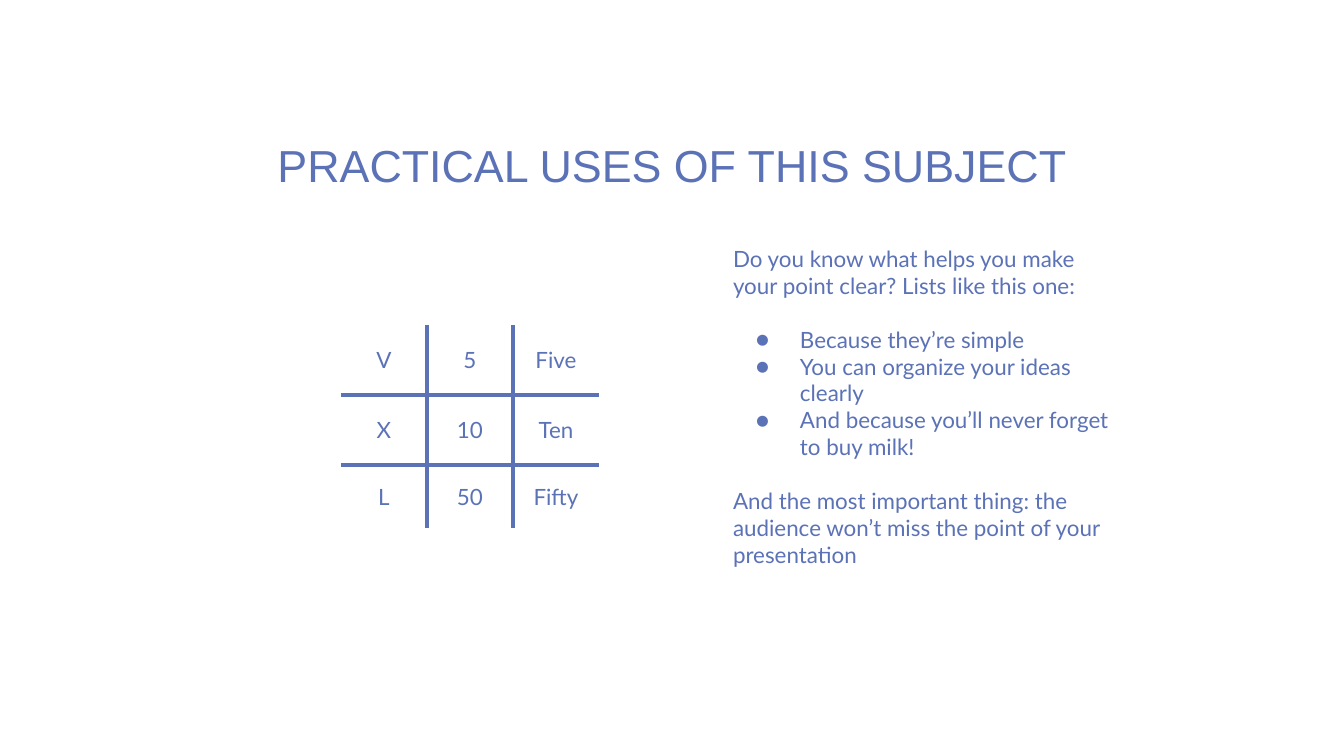
"""Build a slide with a numeral table beside a short bulleted text."""
from lxml.etree import SubElement
from pptx import Presentation
from pptx.dml.color import RGBColor
from pptx.enum.text import MSO_ANCHOR, PP_ALIGN
from pptx.oxml.ns import qn
from pptx.util import Emu, Pt

BLUE = RGBColor(0x5B, 0x72, 0xB7)
INSET = 13
NUMERALS = [("V", "5", "Five"), ("X", "10", "Ten"), ("L", "50", "Fifty")]
COLUMN_WIDTH = 86
ROW_HEIGHTS = [70, 70, 63]
REASONS = [
    "Because they’re simple",
    "You can organize your ideas clearly",
    "And because you’ll never forget to buy milk!",
]


def px(length):
    return Emu(round(length * 914400 / 134.4))


def write(frame, text, font="Lato", size=12, align=PP_ALIGN.LEFT, before=0, bullet=False):
    paragraph = frame.paragraphs[0] if not frame.text else frame.add_paragraph()
    paragraph.alignment = align
    if before:
        paragraph.space_before = Pt(before)
    if bullet:
        properties = paragraph._p.get_or_add_pPr()
        properties.set("marL", str(px(67)))
        properties.set("indent", str(px(-44)))
        bullet_color = SubElement(properties, qn("a:buClr"))
        SubElement(bullet_color, qn("a:srgbClr"), val=str(BLUE))
        SubElement(properties, qn("a:buFont"), typeface=font)
        SubElement(properties, qn("a:buChar"), char="●")
    run = paragraph.add_run()
    run.text = text
    run.font.name = font
    run.font.size = Pt(size)
    run.font.color.rgb = BLUE


def add_text_frame(slide, left, top, width, height, anchor):
    frame = slide.shapes.add_textbox(px(left), px(top), px(width), px(height)).text_frame
    frame.word_wrap = True
    frame.vertical_anchor = anchor
    frame.margin_left = frame.margin_right = px(INSET)
    frame.margin_top = frame.margin_bottom = px(INSET)
    return frame


def set_borders(cell, visible):
    properties = cell._tc.get_or_add_tcPr()
    for side in ("L", "R", "T", "B"):
        line = SubElement(properties, qn(f"a:ln{side}"), w=str(Pt(2.25)))
        if side in visible:
            fill = SubElement(line, qn("a:solidFill"))
            SubElement(fill, qn("a:srgbClr"), val=str(BLUE))
        else:
            SubElement(line, qn("a:noFill"))


def inner_sides(row, column):
    last_row, last_column = len(NUMERALS) - 1, len(NUMERALS[0]) - 1
    inner = {"L": column > 0, "R": column < last_column, "T": row > 0, "B": row < last_row}
    return [side for side, is_inner in inner.items() if is_inner]


def add_numeral_table(slide, left, top):
    columns = len(NUMERALS[0])
    table = slide.shapes.add_table(
        len(NUMERALS), columns, px(left), px(top),
        px(COLUMN_WIDTH * columns), px(sum(ROW_HEIGHTS)),
    ).table
    table.first_row = table.horz_banding = False
    for column in table.columns:
        column.width = px(COLUMN_WIDTH)
    for row, (height, numerals) in enumerate(zip(ROW_HEIGHTS, NUMERALS)):
        table.rows[row].height = px(height)
        for column, numeral in enumerate(numerals):
            cell = table.cell(row, column)
            cell.vertical_anchor = MSO_ANCHOR.MIDDLE
            cell.margin_left = cell.margin_right = px(INSET)
            cell.margin_top = cell.margin_bottom = px(INSET)
            set_borders(cell, inner_sides(row, column))
            cell.fill.background()
            write(cell.text_frame, numeral, align=PP_ALIGN.CENTER)


def main():
    presentation = Presentation()
    presentation.slide_width = px(1344)
    presentation.slide_height = px(756)
    slide = presentation.slides.add_slide(presentation.slide_layouts[6])

    explanation = add_text_frame(slide, 720, 364, 406, 85, MSO_ANCHOR.MIDDLE)
    write(explanation, "Do you know what helps you make your point clear? Lists like this one:")
    for index, reason in enumerate(REASONS):
        write(explanation, reason, bullet=True, before=0 if index else 14.4)
    write(explanation, "And the most important thing: the audience won’t miss the point "
          "of your presentation", before=14.4)

    title = add_text_frame(slide, 63, 120, 1218, 85, MSO_ANCHOR.BOTTOM)
    write(title, "PRACTICAL USES OF THIS SUBJECT", font="Arial", size=24, align=PP_ALIGN.CENTER)

    add_numeral_table(slide, 341, 325)
    presentation.save("out.pptx")


if __name__ == "__main__":
    main()
